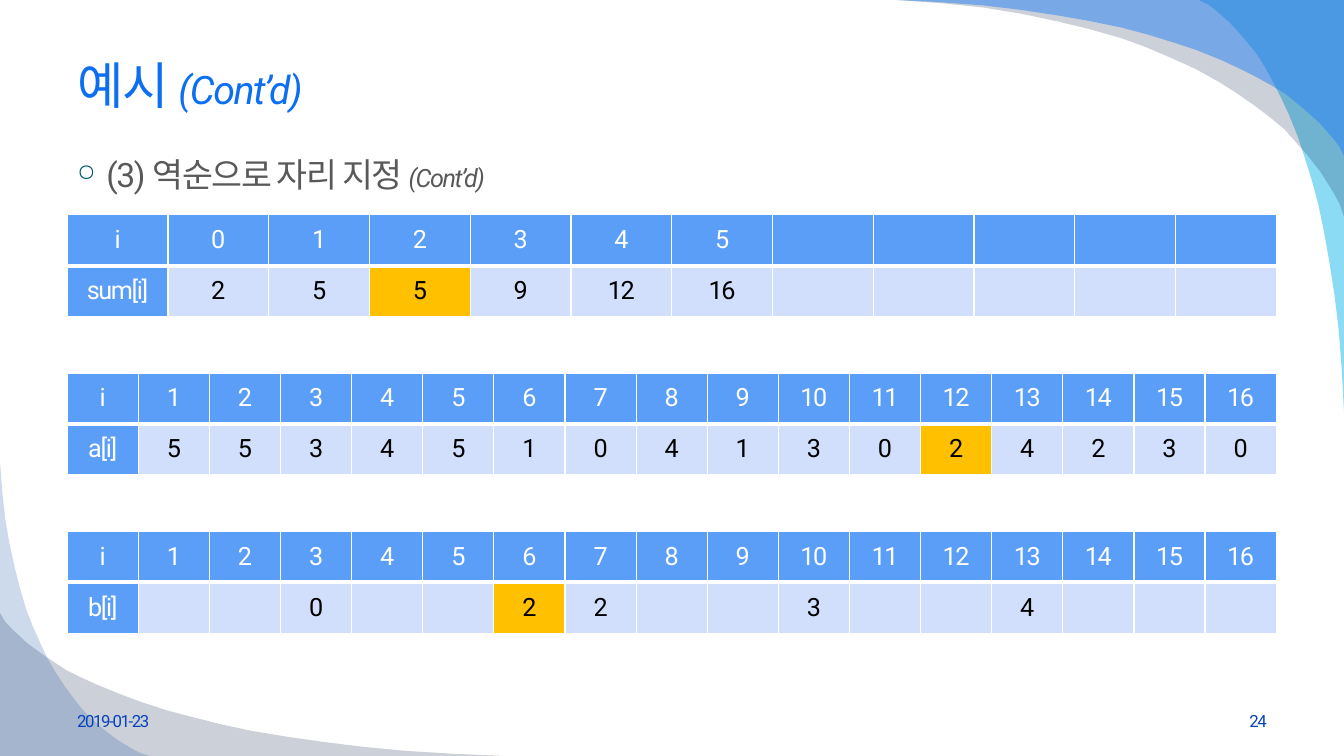
from lxml import etree
from pptx import Presentation
from pptx.dml.color import RGBColor
from pptx.enum.text import MSO_ANCHOR, PP_ALIGN
from pptx.oxml.ns import qn
from pptx.util import Emu, Inches, Pt

LEFT, CENTER, RIGHT = PP_ALIGN.LEFT, PP_ALIGN.CENTER, PP_ALIGN.RIGHT
TOP, MIDDLE = MSO_ANCHOR.TOP, MSO_ANCHOR.MIDDLE
WIDTH, HEIGHT = Inches(13.333), Inches(7.5)
GRID_COLUMNS, GRID_ROWS = 20, 100
FONT = "Roboto"
WHITE, BLACK, HEADER, BODY, HIGHLIGHT = "FFFFFF", "000000", "5B9EF7", "D2DFFC", "FFC000"

BLADE_CURVE = [
    (0, 0), (0.01, 0.06), (0.024, 0.113), (0.054, 0.211), (0.084, 0.289),
    (0.11, 0.35), (0.132, 0.401), (0.16, 0.45), (0.196, 0.507), (0.24, 0.57),
    (0.278, 0.62), (0.33, 0.68), (0.378, 0.725), (0.44, 0.78), (0.498, 0.824),
    (0.57, 0.866), (0.64, 0.901), (0.72, 0.936), (0.806, 0.965), (0.9, 0.985), (1, 1),
]
BLADES = [
    (20, 0, -2.16, 54.4, True, "00B1E9", 45),
    (20, 0, -6.66, 28.67, False, "021741", 20),
    (20, 0, -6.66, 20.67, False, "247FF4", 49),
    (0, 100, 7.5, -18.93, False, "021741", 20),
    (0, 100, 2.22, -38.93, True, "084AA1", 20),
]
INDEXES = ["i", *range(1, 17)]
FIRST_TABLE_ROW, TABLE_PITCH, TABLE_HEIGHT = 28.4, 20.93, 13.5
TABLES = [
    (["i", *range(6)] + [""] * 5, ["sum[i]", 2, 5, 5, 9, 12, 16] + [""] * 5, 3),
    (INDEXES, ["a[i]", 5, 5, 3, 4, 5, 1, 0, 4, 1, 3, 0, 2, 4, 2, 3, 0], 12),
    (INDEXES, ["b[i]", "", "", 0, "", "", 2, 2, "", "", 3, "", "", 4, "", "", ""], 6),
]


def color(value):
    return RGBColor.from_string(value)


def across(columns):
    return Emu(round(WIDTH * columns / GRID_COLUMNS))


def down(rows):
    return Emu(round(HEIGHT * rows / GRID_ROWS))


def add_run(paragraph, text, size, ink, italic=False):
    run = paragraph.add_run()
    run.text = text
    for name, value in {"name": FONT, "size": Pt(size), "italic": italic, "bold": False}.items():
        setattr(run.font, name, value)
    run.font.color.rgb = color(ink)
    run._r.get_or_add_rPr().set("spc", "-100")


def add_text(slide, left, top, width, height, runs, align=LEFT, anchor=MIDDLE):
    box = slide.shapes.add_textbox(across(left), down(top), across(width), down(height))
    frame = box.text_frame
    for name, value in {"word_wrap": True, "vertical_anchor": anchor}.items():
        setattr(frame, name, value)
    paragraph = frame.paragraphs[0]
    paragraph.alignment = align
    for run in runs:
        add_run(paragraph, *run)
    return paragraph


def add_bullet(paragraph, symbol, ink, percent, indent):
    properties = paragraph._p.get_or_add_pPr()
    properties.set("marL", str(Inches(indent)))
    properties.set("indent", str(-Inches(indent)))
    bullet_color = etree.SubElement(properties, qn("a:buClr"))
    etree.SubElement(bullet_color, qn("a:srgbClr"), val=ink)
    etree.SubElement(properties, qn("a:buSzPct"), val=str(percent * 1000))
    etree.SubElement(properties, qn("a:buChar"), char=symbol)


def add_blade(slide, corner_column, corner_row, columns, rows, upright, ink, opacity):
    points = [(corner_column, corner_row)]
    for along, inward in BLADE_CURVE:
        x_share, y_share = (1 - inward, along) if upright else (along, 1 - inward)
        points.append((corner_column + columns * x_share, corner_row + rows * y_share))
    outline = [(across(x), down(y)) for x, y in points]
    builder = slide.shapes.build_freeform(*outline[0], scale=1.0)
    builder.add_line_segments(outline[1:], close=True)
    shape = builder.convert_to_shape()
    shape.shadow.inherit = False
    shape.line.fill.background()
    shape.fill.solid()
    shape.fill.fore_color.rgb = color(ink)
    fill_color = shape._element.spPr.find(".//" + qn("a:srgbClr"))
    etree.SubElement(fill_color, qn("a:alpha"), val=str(opacity * 1000))


def add_borders(cell, top, bottom):
    properties = cell._tc.get_or_add_tcPr()
    widths = {"lnL": 1, "lnR": 1, "lnT": top, "lnB": bottom}
    for position, (side, width) in enumerate(widths.items()):
        line = etree.Element(qn("a:" + side), w=str(Pt(width)))
        fill = etree.SubElement(line, qn("a:solidFill"))
        etree.SubElement(fill, qn("a:srgbClr"), val=WHITE)
        properties.insert(position, line)


def add_array_table(slide, top, indexes, values, highlighted):
    count = len(indexes)
    frame = slide.shapes.add_table(2, count, across(1), down(top), across(18), down(TABLE_HEIGHT))
    table = frame.table
    for name in ("first_row", "horz_banding"):
        setattr(table, name, False)
    for column in table.columns:
        column.width = across(18 / count)
    for row, entries in enumerate((indexes, values)):
        for position, entry in enumerate(entries):
            cell = table.cell(row, position)
            is_header = row == 0 or position == 0
            fill = HEADER if is_header else HIGHLIGHT if position == highlighted else BODY
            cell.vertical_anchor = MIDDLE
            cell.fill.solid()
            cell.fill.fore_color.rgb = color(fill)
            add_borders(cell, *((1, 3) if row == 0 else (3, 1)))
            paragraph = cell.text_frame.paragraphs[0]
            paragraph.alignment = CENTER
            if entry != "":
                add_run(paragraph, str(entry), 18, WHITE if is_header else BLACK)


def main():
    presentation = Presentation()
    presentation.slide_width, presentation.slide_height = WIDTH, HEIGHT
    slide = presentation.slides.add_slide(presentation.slide_layouts[6])
    for blade in BLADES:
        add_blade(slide, *blade)
    title_ink, body_ink, footer_ink = "0C6FF2", "595959", "0743BC"
    add_text(slide, 1, 4.4, 18, 13.47,
             [("예시 ", 36, title_ink), ("(Cont’d)", 28, title_ink, True)])
    step = add_text(slide, 1, 19.7, 18, 69.6,
                    [("(3) 역순으로 자리 지정 ", 24, body_ink), ("(Cont’d)", 18, body_ink, True)],
                    anchor=TOP)
    add_bullet(step, "○", "005876", 70, 0.29)
    add_text(slide, 1, 92.67, 4.67, 5.33, [("2019-01-23", 12, footer_ink)])
    add_text(slide, 14.33, 92.67, 4.67, 5.33, [("24", 12, footer_ink)], RIGHT)
    for order, (indexes, values, highlighted) in enumerate(TABLES):
        add_array_table(slide, FIRST_TABLE_ROW + order * TABLE_PITCH, indexes, values, highlighted)
    presentation.save("out.pptx")


if __name__ == "__main__":
    main()
